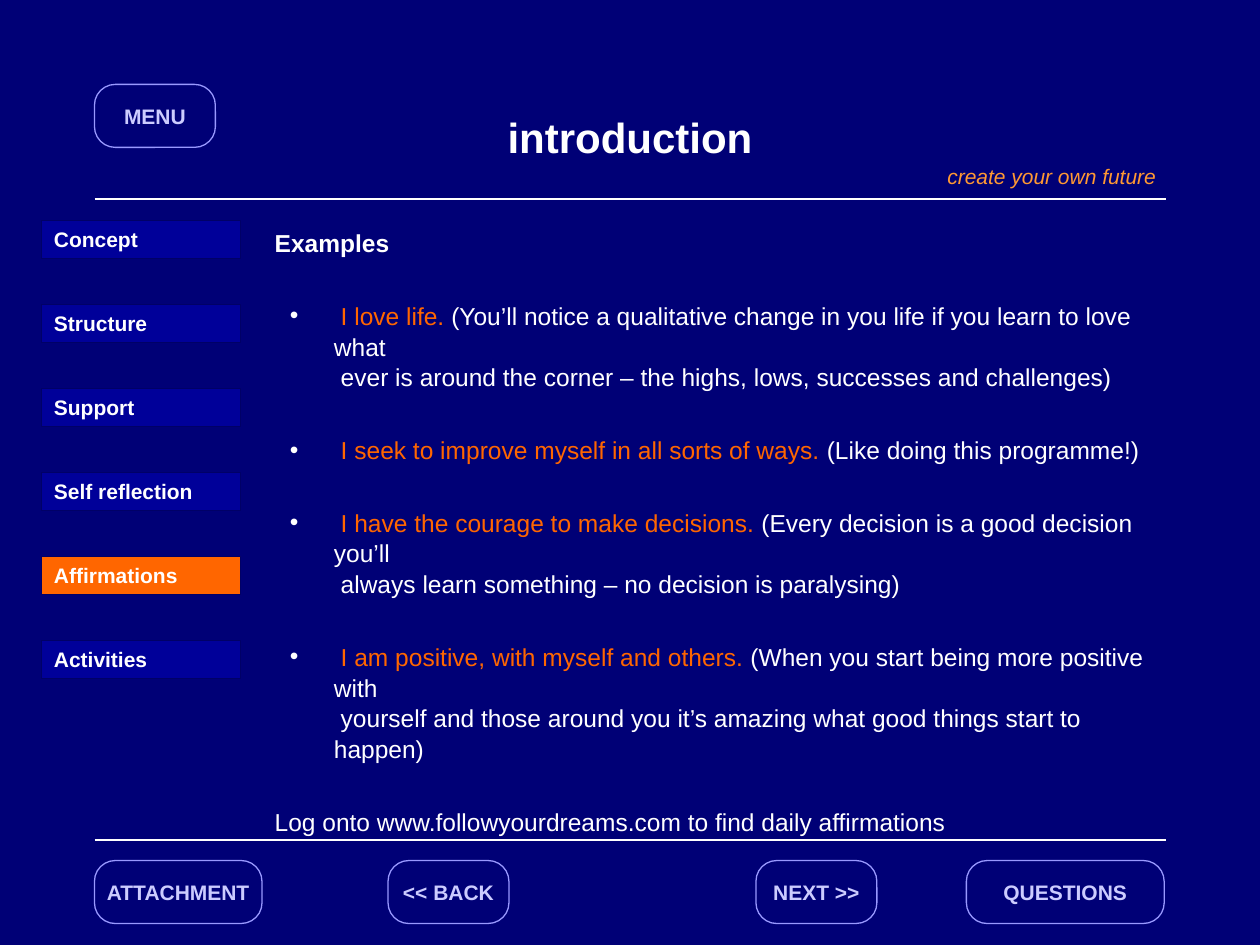
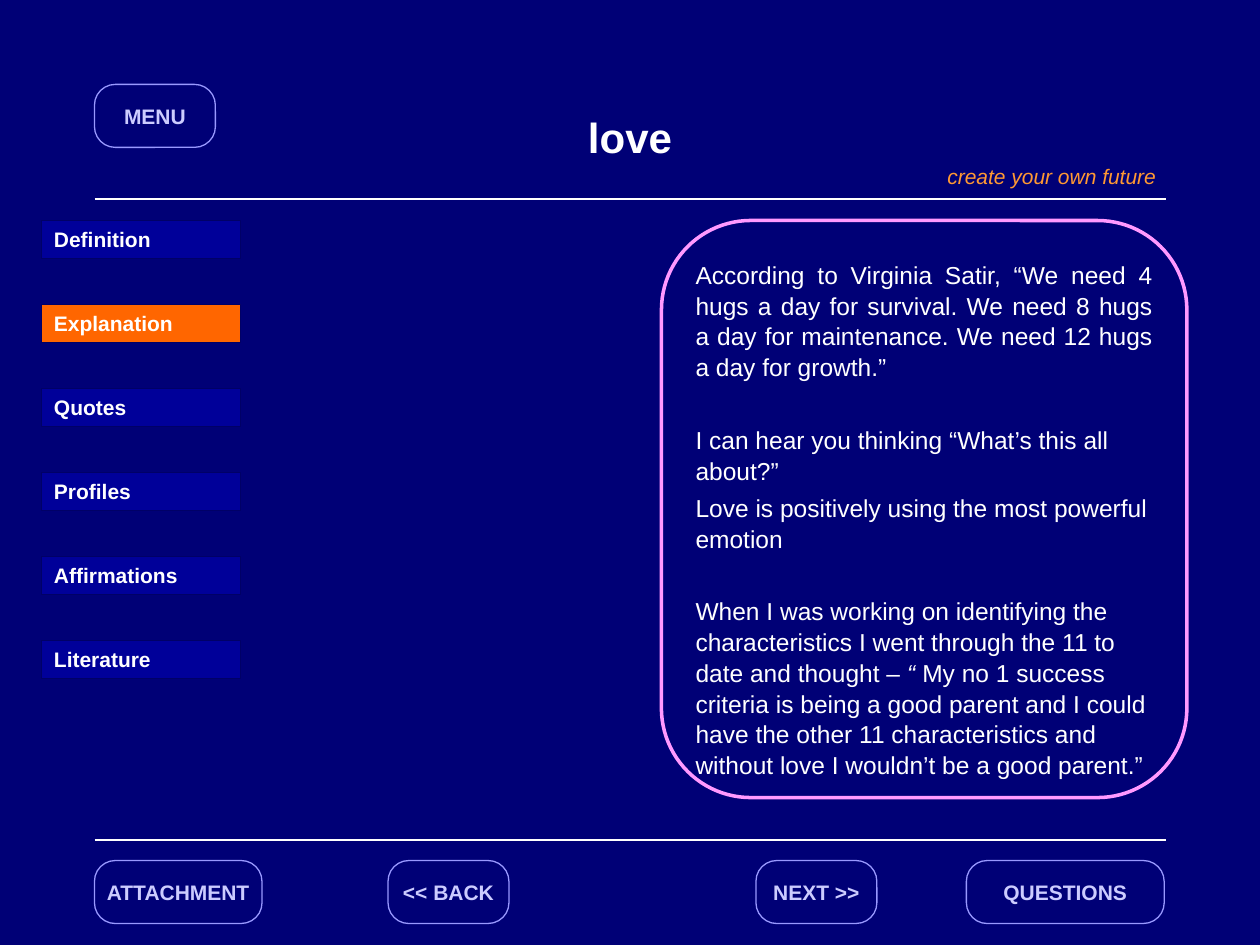
from lxml import etree
from pptx import Presentation
from pptx.dml.color import RGBColor
from pptx.enum import shapes, text
from pptx.oxml import ns
from pptx.util import Inches, Pt

COLORS = {
    "background": "000076", "white": "FFFFFF", "orange": "FF6600", "motto": "FF9933",
    "tab": "000099", "tab_line": "000066", "button_line": "9999FF",
    "button_text": "CCCCFF", "pink": "FF99FF",
}
FONT = "Arial"
LEFT, CENTER, JUSTIFY = text.PP_ALIGN.LEFT, text.PP_ALIGN.CENTER, text.PP_ALIGN.JUSTIFY
GAP = 23.8      # space before a paragraph that opens a new block, in points
CLOSE = 3.5     # space before a paragraph that continues a block

BUTTONS = [
    ("MENU", 0.75, 0.67, 0.96),
    ("ATTACHMENT", 0.75, 6.83, 1.33),
    ("<< BACK", 3.08, 6.83, 0.96),
    ("NEXT >>", 6, 6.83, 0.96),
    ("QUESTIONS", 7.67, 6.83, 1.57),
]

AFFIRMATIONS = [
    ("I love life.",
     " (You’ll notice a qualitative change in you life if you learn to love what\n"
     " ever is around the corner – the highs, lows, successes and challenges)"),
    ("I seek to improve myself in all sorts of ways.", " (Like doing this programme!)"),
    ("I have the courage to make decisions.",
     " (Every decision is a good decision you’ll\n"
     " always learn something – no decision is paralysing)"),
    ("I am positive, with myself and others.",
     " (When you start being more positive with\n"
     " yourself and those around you it’s amazing what good things start to happen)"),
]

PAGES = [
    {
        "title": "introduction",
        "tabs": ["Concept", "Structure", "Support", "Self reflection", "Affirmations", "Activities"],
        "active": "Affirmations",
        "body_at": (2.08, 1.75, 7.17, 4.83),
        "body": [
            ("Examples", {"bold": True, "align": JUSTIFY}),
            *[([(" ", {}), (claim, {"color": "orange"}), (comment, {})],
               {"bullet": True, "before": GAP}) for claim, comment in AFFIRMATIONS],
            ("Log onto www.followyourdreams.com to find daily affirmations", {"before": GAP}),
        ],
    },
    {
        "title": "love",
        "tabs": ["Definition", "Explanation", "Quotes", "Profiles", "Affirmations", "Literature"],
        "active": "Explanation",
        "body_at": (5.42, 2, 3.83, 4.5),
        "frame_at": (5.25, 1.75, 4.17, 4.58),
        "body": [
            ("According to Virginia Satir, “We need 4 hugs a day for survival. We need 8 hugs "
             "a day for maintenance. We need 12 hugs a day for growth.”", {"align": JUSTIFY}),
            ("I can hear you thinking “What’s this all about?”", {"before": GAP}),
            ("Love is positively using the most powerful emotion", {"before": CLOSE}),
            ([("When I was working on identifying the characteristics I went through the 11 "
               "to date and thought –", {}),
              (" “ ", {"italic": True}),
              ("My no 1 success criteria is being a good parent and I could have the other 11 "
               "characteristics and without love I wouldn’t be a good parent.”", {})],
             {"before": GAP}),
        ],
    },
]


def write(frame, content, size=12, color="white", bold=False, italic=False,
          align=LEFT, before=0, spacing=1.0, bullet=False):
    """Add one paragraph; content is a string or a list of (text, format changes)."""
    para = frame.paragraphs[0]
    if para.runs:
        para = frame.add_paragraph()
    props = para._p.get_or_add_pPr()
    props.set("marL", str(Inches(0.47 if bullet else 0)))
    props.set("indent", str(Inches(-0.35 if bullet else 0)))
    if bullet:
        bullet_color = etree.SubElement(props, ns.qn("a:buClr"))
        etree.SubElement(bullet_color, ns.qn("a:srgbClr"), val=COLORS["white"])
        etree.SubElement(props, ns.qn("a:buFont"), typeface=FONT)
        etree.SubElement(props, ns.qn("a:buChar"), char="•")
    else:
        etree.SubElement(props, ns.qn("a:buNone"))
    para.alignment, para.line_spacing, para.space_before = align, spacing, Pt(before)

    spans = [(content, {})] if isinstance(content, str) else content
    for words, changes in spans:
        for number, line in enumerate(words.split("\n")):
            if number:
                para.add_line_break()
            span = para.add_run()
            span.text = line
            span.font.name, span.font.size = FONT, Pt(size)
            span.font.bold = bold
            span.font.italic = changes.get("italic", italic)
            span.font.color.rgb = RGBColor.from_string(COLORS[changes.get("color", color)])


def add_box(page, kind, at, line, width=0.75, fill=None):
    box = page.shapes.add_shape(kind, *map(Inches, at))
    box.shadow.inherit = False
    if fill:
        box.fill.solid()
        box.fill.fore_color.rgb = RGBColor.from_string(COLORS[fill])
    else:
        box.fill.background()
    box.line.color.rgb = RGBColor.from_string(COLORS[line])
    box.line.width = Pt(width)
    return box


deck = Presentation()
deck.slide_width, deck.slide_height = Inches(10), Inches(7.5)
backdrop = deck.slide_master.background.fill
backdrop.solid()
backdrop.fore_color.rgb = RGBColor.from_string(COLORS["background"])

for content in PAGES:
    page = deck.slides.add_slide(deck.slide_layouts[1])

    # Rules, motto and navigation buttons
    for y in (1.58, 6.67):
        rule = page.shapes.add_connector(
            shapes.MSO_CONNECTOR.STRAIGHT, Inches(0.75), Inches(y), Inches(9.25), Inches(y))
        rule.line.color.rgb = RGBColor.from_string(COLORS["white"])
        rule.line.width = Pt(1.25)
        etree.SubElement(rule._element.spPr, ns.qn("a:effectLst"))

    motto = page.shapes.add_textbox(Inches(7.42), Inches(1.25), Inches(1.92), Inches(0.3))
    motto.text_frame.word_wrap = True
    write(motto.text_frame, "create your own future", color="motto", italic=True)

    for label, x, y, width in BUTTONS:
        button = add_box(page, shapes.MSO_SHAPE.ROUNDED_RECTANGLE, (x, y, width, 0.5),
                         line="button_line", fill="background")
        button.adjustments[0] = 0.33
        button.text_frame.word_wrap = False
        button.text_frame.vertical_anchor = text.MSO_ANCHOR.MIDDLE
        write(button.text_frame, label, color="button_text", bold=True, align=CENTER)

    # Section tabs
    for row, label in enumerate(content["tabs"]):
        tab = add_box(page, shapes.MSO_SHAPE.RECTANGLE, (0.33, 1.75 + row * 2 / 3, 1.58, 0.3),
                      line="tab_line", fill="orange" if label == content["active"] else "tab")
        tab.text_frame.vertical_anchor = text.MSO_ANCHOR.TOP
        write(tab.text_frame, label, bold=True)

    # Title and body
    title, body = page.shapes.title, page.placeholders[1]
    for holder, at in ((title, (0.75, 0.67, 8.5, 0.83)), (body, content["body_at"])):
        holder.left, holder.top, holder.width, holder.height = map(Inches, at)
        holder.text_frame.auto_size = text.MSO_AUTO_SIZE.NONE
    title.text_frame.vertical_anchor = text.MSO_ANCHOR.MIDDLE
    write(title.text_frame, content["title"], size=24, bold=True, align=CENTER)
    for words, style in content["body"]:
        write(body.text_frame, words, size=14, spacing=1.05, **style)

    if "frame_at" in content:
        outline = add_box(page, shapes.MSO_SHAPE.ROUNDED_RECTANGLE, content["frame_at"],
                          line="pink", width=2)
        outline.adjustments[0] = 0.17

deck.save("out.pptx")
